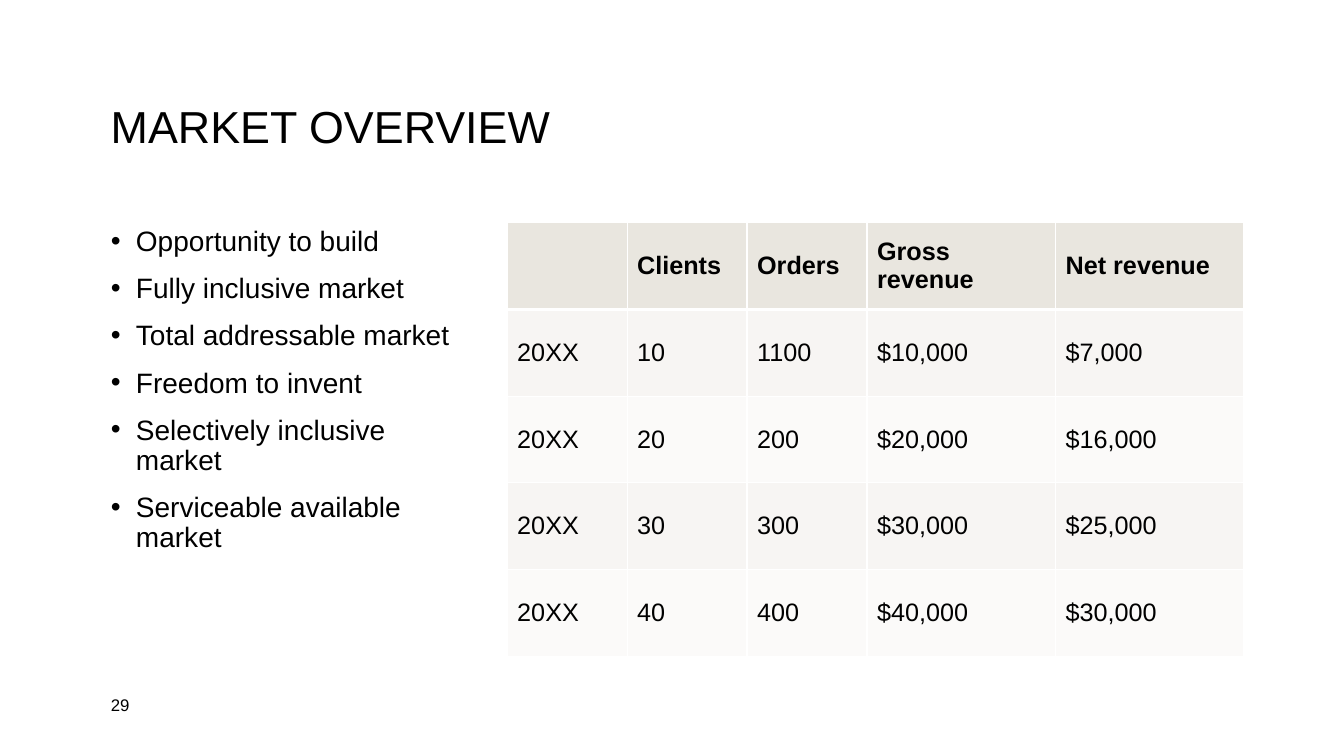
from lxml import etree
from pptx import Presentation
from pptx.dml.color import RGBColor
from pptx.enum import text
from pptx.oxml import ns
from pptx.util import Inches, Pt

BLACK = RGBColor(0x00, 0x00, 0x00)
WHITE = RGBColor(0xFF, 0xFF, 0xFF)
HEADER_FILL = RGBColor(0xE9, 0xE6, 0xDF)
BAND_FILLS = [RGBColor(0xF7, 0xF5, 0xF3), RGBColor(0xFB, 0xFA, 0xF9)]

MARKET_POINTS = [
    "Opportunity to build",
    "Fully inclusive market",
    "Total addressable market",
    "Freedom to invent",
    "Selectively inclusive market",
    "Serviceable available market",
]
MARKET_ROWS = [
    ["", "Clients", "Orders", "Gross revenue", "Net revenue"],
    ["20XX", "10", "1100", "$10,000", "$7,000"],
    ["20XX", "20", "200", "$20,000", "$16,000"],
    ["20XX", "30", "300", "$30,000", "$25,000"],
    ["20XX", "40", "400", "$40,000", "$30,000"],
]
COLUMN_WIDTHS = [1.19, 1.19, 1.19, 1.87, 1.87]
ROW_HEIGHT = 0.86


class SlideBuilder:
    font_name = "Arial"

    def __init__(self, slide):
        self.slide = slide

    def style(self, para, size, bold=False):
        para.font.name = self.font_name
        para.font.size = Pt(size)
        para.font.bold = bold
        para.font.color.rgb = BLACK

    def text_box(self, place, lines, size, anchor=text.MSO_ANCHOR.MIDDLE,
                 line_spacing=1.0, bullets=False):
        box = self.slide.shapes.add_textbox(*map(Inches, place))
        frame = box.text_frame
        frame.word_wrap = True
        frame.vertical_anchor = anchor
        frame.text = "\n".join(lines)
        for para in frame.paragraphs:
            para.line_spacing = line_spacing
            if bullets:
                para.space_after = Pt(12)
                self.bullet(para)
            self.style(para, size)

    def bullet(self, para):
        properties = para._p.get_or_add_pPr()
        properties.set("marL", str(Inches(0.25)))
        properties.set("indent", str(-Inches(0.25)))
        etree.SubElement(properties, ns.qn("a:buFont"), typeface=self.font_name)
        etree.SubElement(properties, ns.qn("a:buChar"), char="•")

    def borders(self, cell, widths):
        """Draw white cell edges; widths maps L, R, T, B to points, in that order."""
        properties = cell._tc.get_or_add_tcPr()
        for side, width in widths.items():
            line = etree.SubElement(properties, ns.qn(f"a:ln{side}"), w=str(Pt(width)))
            fill = etree.SubElement(line, ns.qn("a:solidFill"))
            etree.SubElement(fill, ns.qn("a:srgbClr"), val=str(WHITE))

    def table(self, left, top, rows, column_widths, row_height):
        frame = self.slide.shapes.add_table(
            len(rows), len(column_widths), Inches(left), Inches(top),
            Inches(sum(column_widths)), Inches(row_height * len(rows)))
        table = frame.table
        for column, width in zip(table.columns, column_widths):
            column.width = Inches(width)
        for r, values in enumerate(rows):
            table.rows[r].height = Inches(row_height)
            header = r == 0
            for c, value in enumerate(values):
                cell = table.cell(r, c)
                self.borders(cell, {"L": 1, "R": 1, "T": 3 if r == 1 else 1,
                                    "B": 3 if header else 1})
                cell.fill.solid()
                cell.fill.fore_color.rgb = HEADER_FILL if header else BAND_FILLS[(r - 1) % 2]
                cell.vertical_anchor = text.MSO_ANCHOR.MIDDLE
                cell.text = value
                self.style(cell.text_frame.paragraphs[0], 18, bold=header)


def main():
    deck = Presentation()
    deck.slide_width, deck.slide_height = Inches(13.33), Inches(7.5)
    page = SlideBuilder(deck.slides.add_slide(deck.slide_layouts[6]))
    page.text_box((1, 0.4, 11.33, 1.75), ["MARKET OVERVIEW"], 32, line_spacing=0.9)
    page.text_box((1, 2.21, 3.61, 4.28), MARKET_POINTS, 20,
                  anchor=text.MSO_ANCHOR.TOP, line_spacing=0.9, bullets=True)
    page.table(5.03, 2.21, MARKET_ROWS, COLUMN_WIDTHS, ROW_HEIGHT)
    page.text_box((1, 6.83, 0.69, 0.32), ["29"], 12)
    deck.save("out.pptx")


if __name__ == "__main__":
    main()
